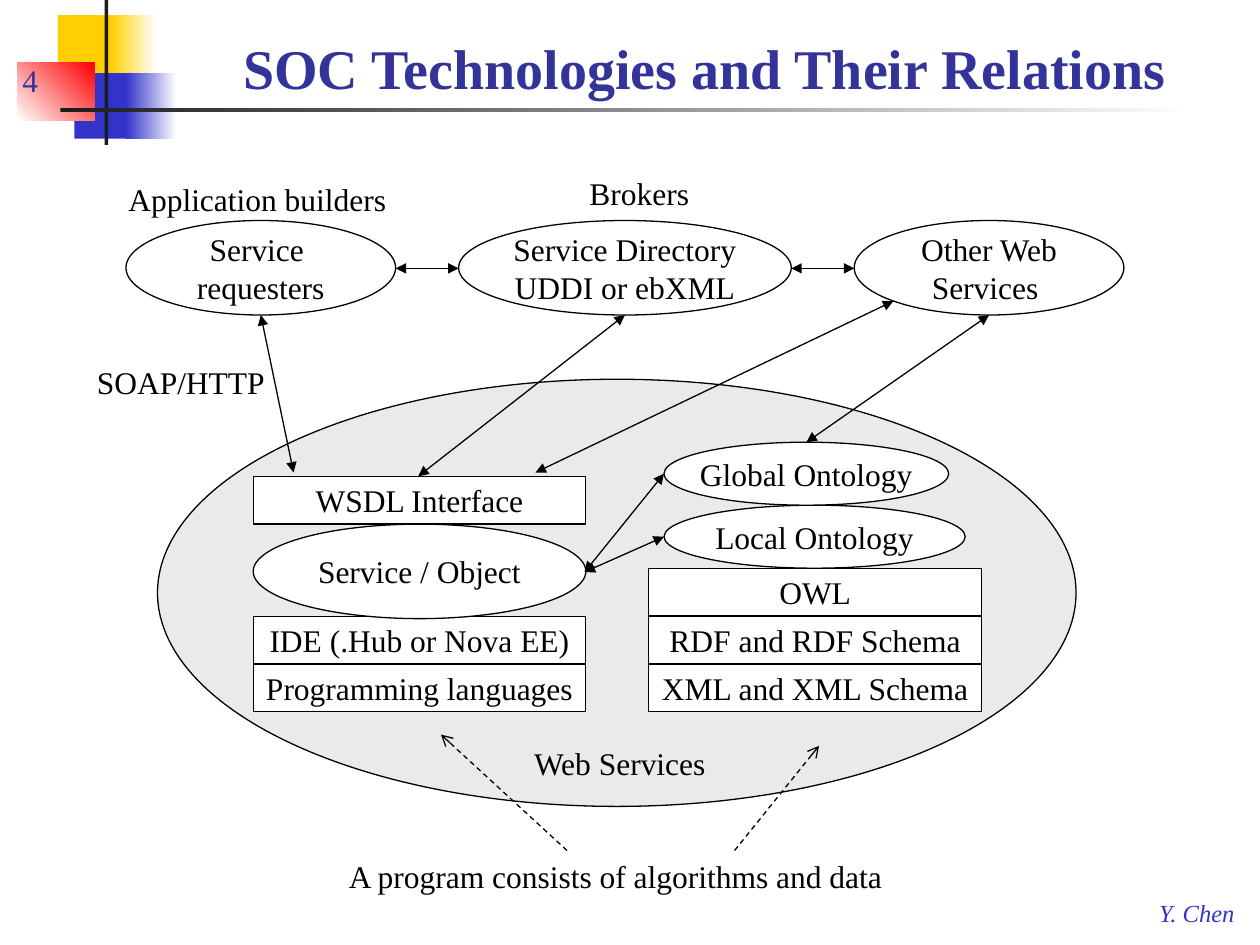
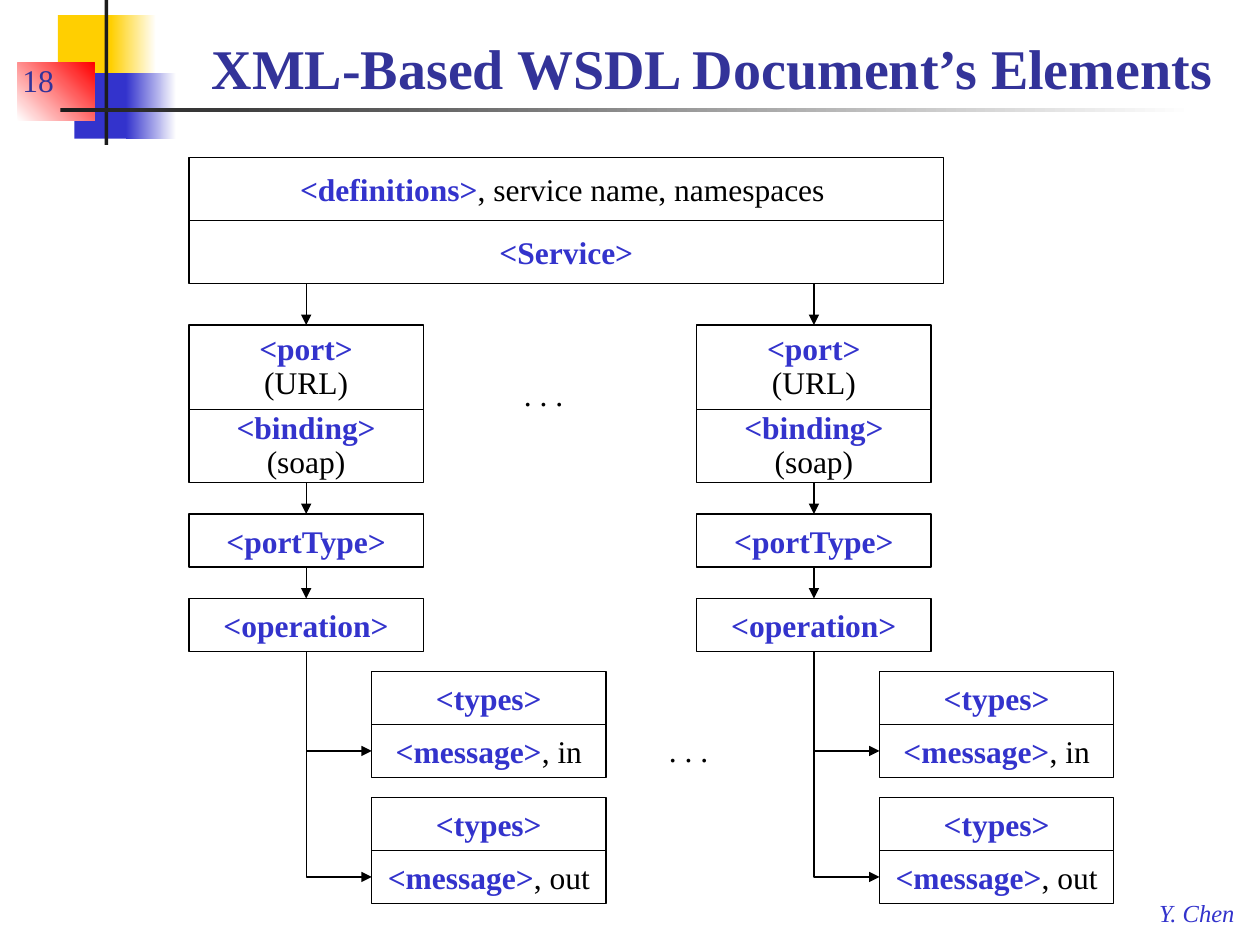
"""Builds two slides on service technologies and the elements of a WSDL document."""
from lxml import etree
from pptx import Presentation
from pptx.dml.color import RGBColor
from pptx.enum.dml import MSO_LINE
from pptx.enum.shapes import MSO_CONNECTOR, MSO_SHAPE
from pptx.enum.text import MSO_ANCHOR, MSO_AUTO_SIZE, PP_ALIGN
from pptx.oxml.ns import qn
from pptx.util import Inches, Pt

RECT, OVAL = MSO_SHAPE.RECTANGLE, MSO_SHAPE.OVAL
STRAIGHT, ELBOW = MSO_CONNECTOR.STRAIGHT, MSO_CONNECTOR.ELBOW
DASH = MSO_LINE.DASH
LEFT, CENTER = PP_ALIGN.LEFT, PP_ALIGN.CENTER
MIDDLE, BOTTOM = MSO_ANCHOR.MIDDLE, MSO_ANCHOR.BOTTOM
FIT, FIXED = MSO_AUTO_SIZE.SHAPE_TO_FIT_TEXT, MSO_AUTO_SIZE.NONE
FONT = "Times New Roman"
BLACK, WHITE, GREY, DARK = "000000", "FFFFFF", "EAEAEA", "1C1C1C"
BLUE, NAVY, GOLD, RED = "3333CC", "333399", "FFCF01", "FF0000"
paint = RGBColor.from_string


def box(page, kind, spot, text="", fill=WHITE, ink=BLACK, size=18, gap=None):
    """Add a shape, or a text box if kind is None; tags in <> turn bold blue."""
    place = [Inches(v) for v in spot]
    if kind is None:
        shape = page.shapes.add_textbox(*place)
        shape.text_frame.auto_size = FIT
    else:
        shape = page.shapes.add_shape(kind, *place)
        shape.shadow.inherit = False
        shape.fill.solid()
        shape.fill.fore_color.rgb = paint(fill)
        shape.line.color.rgb = paint(BLACK)
        shape.line.width = Pt(0.75)
        shape.text_frame.vertical_anchor = MIDDLE
    frame = shape.text_frame
    frame.word_wrap = False
    frame.text = text
    for para in frame.paragraphs:
        para.alignment = LEFT if kind is None else CENTER
        para.line_spacing = gap
        head, mark, rest = para.text.rpartition(">")
        para.clear()
        for part, tag in ((head + mark, True), (rest, False)):
            if part:
                run = para.add_run()
                run.text = part
                run.font.name, run.font.size, run.font.bold = FONT, Pt(size), tag
                run.font.color.rgb = paint(BLUE if tag else ink)
    return shape


def link(page, x1, y1, x2, y2, ends=("tailEnd",), tip="triangle", bent=False):
    """Add an arrow; a bent one runs down first, then across."""
    if bent:
        midx, midy = (x1 + x2) / 2, (y1 + y2) / 2
        wide, high = (y2 - y1) / 2, (x2 - x1) / 2
        x1, y1, x2, y2 = midx + wide, midy - high, midx - wide, midy + high
    kind = ELBOW if bent else STRAIGHT
    line = page.shapes.add_connector(kind, *[Inches(v) for v in (x1, y1, x2, y2)])
    line.line.color.rgb = paint(BLACK)
    line.line.width = Pt(0.75)
    if tip == "arrow":
        line.line.dash_style = DASH
    props = line.element.spPr
    if bent:
        props.find(qn("a:xfrm")).set("rot", "16200000")
        props.find(qn("a:prstGeom")).set("prst", "bentConnector2")
    for end in ends:
        etree.SubElement(props.find(qn("a:ln")), qn("a:" + end), type=tip)
    etree.SubElement(props, qn("a:effectLst"))


deck = Presentation()
deck.slide_width, deck.slide_height = Inches(10), Inches(7.5)
layout = deck.slide_layouts[5]
for holder in list(layout.placeholders)[1:]:
    layout.shapes.element.remove(holder.element)

pages = []
for name, number, left, width in (
    ("SOC Technologies and Their Relations", "4", 1.83, 8.09),
    ("XML-Based WSDL Document’s Elements", "18", 1.58, 8.33),
):
    page = deck.slides.add_slide(layout)
    pages.append(page)
    title = page.shapes.title
    title.left, title.top = Inches(left), Inches(0.17)
    title.width, title.height = Inches(width), Inches(0.68)
    frame = title.text_frame
    frame.text = name
    frame.word_wrap, frame.auto_size = True, FIXED
    frame.vertical_anchor = BOTTOM
    frame.paragraphs[0].alignment = LEFT
    font = frame.paragraphs[0].runs[0].font
    font.name, font.size, font.bold = FONT, Pt(32), True
    font.color.rgb = paint(NAVY)
    mark = box(page, None, (0.08, 0.33, 2.08, 0.5), number, ink=NAVY)
    mark.text_frame.auto_size, mark.text_frame.word_wrap = FIXED, True
    mark.text_frame.vertical_anchor = BOTTOM
soc, wsdl = pages

for spot, start, stop, angle in (
    ((0.46, 0.12, 0.48, 0.52), GOLD, None, 0),
    ((0.88, 0.12, 0.36, 0.52), GOLD, WHITE, 0),
    ((0.59, 0.58, 0.46, 0.52), BLUE, None, 0),
    ((1, 0.58, 0.4, 0.52), BLUE, WHITE, 0),
    ((0.14, 0.5, 0.61, 0.46), WHITE, RED, 45),
    ((0.83, 0, 0.03, 1.15), DARK, None, 0),
    ((0.48, 0.86, 9, 0.03), DARK, WHITE, 0),
):
    band = box(soc, RECT, spot, fill=start)
    band.line.fill.background()
    if stop:
        band.fill.gradient()
        band.fill.gradient_angle = angle
        for point, tone in zip(band.fill.gradient_stops, (start, stop)):
            point.color.rgb = paint(tone)
    layout.shapes.element.append(band.element)
footer = box(soc, None, (9.1, 7.08, 0.82, 0.33), "Y. Chen", ink=BLUE, size=14)
footer.text_frame.paragraphs[0].runs[0].font.italic = True
layout.shapes.element.append(footer.element)

box(soc, OVAL, (1.25, 3.01, 7.29, 3.39), fill=GREY)
for left, top, label in (
    (5.15, 5.27, "XML and XML Schema"),
    (5.15, 4.89, "RDF and RDF Schema"),
    (5.15, 4.51, "OWL"),
    (2.01, 5.27, "Programming languages"),
    (2.01, 4.89, "IDE (.Hub or Nova EE)"),
    (2.01, 3.78, "WSDL Interface"),
):
    box(soc, RECT, (left, top, 2.64, 0.38), label)
for spot, label in (
    ((5.27, 4.01, 2.39, 0.5), "Local Ontology"),
    ((5.27, 3.51, 2.26, 0.5), "Global Ontology"),
    ((2.01, 4.16, 2.64, 0.75), "Service / Object"),
    ((1, 1.75, 2.14, 0.75), "Service \nrequesters"),
    ((3.64, 1.75, 2.64, 0.75), "Service Directory\nUDDI or ebXML"),
    ((6.78, 1.75, 2.14, 0.75), "Other Web\nServices "),
):
    box(soc, OVAL, spot, label)
for ends in (
    (4.25, 3.75, 7.09, 2.39),
    (3.32, 3.78, 4.96, 2.5),
    (3.14, 2.13, 3.64, 2.13),
    (6.28, 2.13, 6.78, 2.13),
    (6.4, 3.51, 7.85, 2.5),
    (5.27, 4.26, 4.64, 4.54),
    (5.27, 3.76, 4.64, 4.54),
    (2.07, 2.5, 2.33, 3.75),
):
    link(soc, *ends, ends=("headEnd", "tailEnd"))
for left, top, width, label in (
    (0.67, 2.83, 1.56, "SOAP/HTTP"),
    (4.14, 5.86, 1.58, "Web Services"),
    (0.92, 1.38, 2.25, "Application builders"),
    (4.58, 1.33, 0.99, "Brokers"),
    (2.67, 6.75, 4.58, "A program consists of algorithms and data"),
):
    box(soc, None, (left, top, width, 0.4), label)
link(soc, 4.5, 6.75, 3.5, 5.83, tip="arrow")
link(soc, 5.83, 6.75, 6.5, 5.92, tip="arrow")

box(wsdl, RECT, (1.5, 1.25, 5.99, 0.5), "<definitions>, service name, namespaces ")
box(wsdl, RECT, (1.5, 1.75, 5.99, 0.5), "<Service>")
for left in (1.5, 5.53):
    for top, height, label, gap in (
        (2.58, 0.67, "<port>\n(URL)", 0.9),
        (3.25, 0.58, "<binding>\n(soap)", 0.9),
        (4.08, 0.42, "<portType>", None),
        (4.75, 0.42, "<operation>", None),
    ):
        box(wsdl, RECT, (left, top, 1.86, height), label, gap=gap)
    stem, inner = left + 0.93, left + 1.45
    for top, low in ((2.25, 2.58), (3.83, 4.08), (4.5, 4.75)):
        link(wsdl, stem, top, stem, low)
    for top, way in ((5.33, "in"), (6.33, "out")):
        box(wsdl, RECT, (inner, top, 1.86, 0.42), "<types>")
        box(wsdl, RECT, (inner, top + 0.42, 1.86, 0.42), f"<message>, {way}")
        link(wsdl, stem, 5.17, inner, top + 0.63, bent=True)
for left, top in ((4.06, 2.93), (5.21, 5.75)):
    box(wsdl, None, (left, top, 0.51, 0.4), ". . .")

deck.save("out.pptx")
